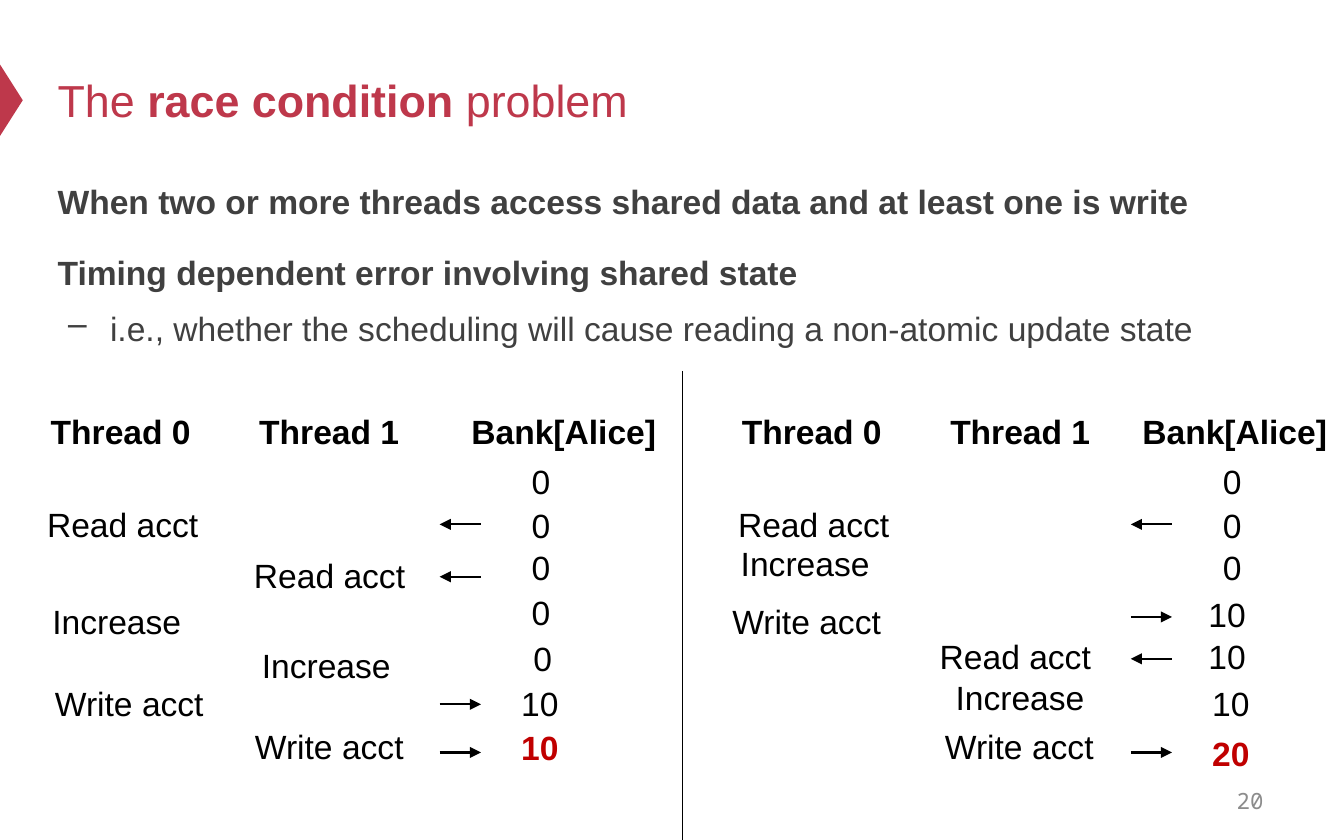
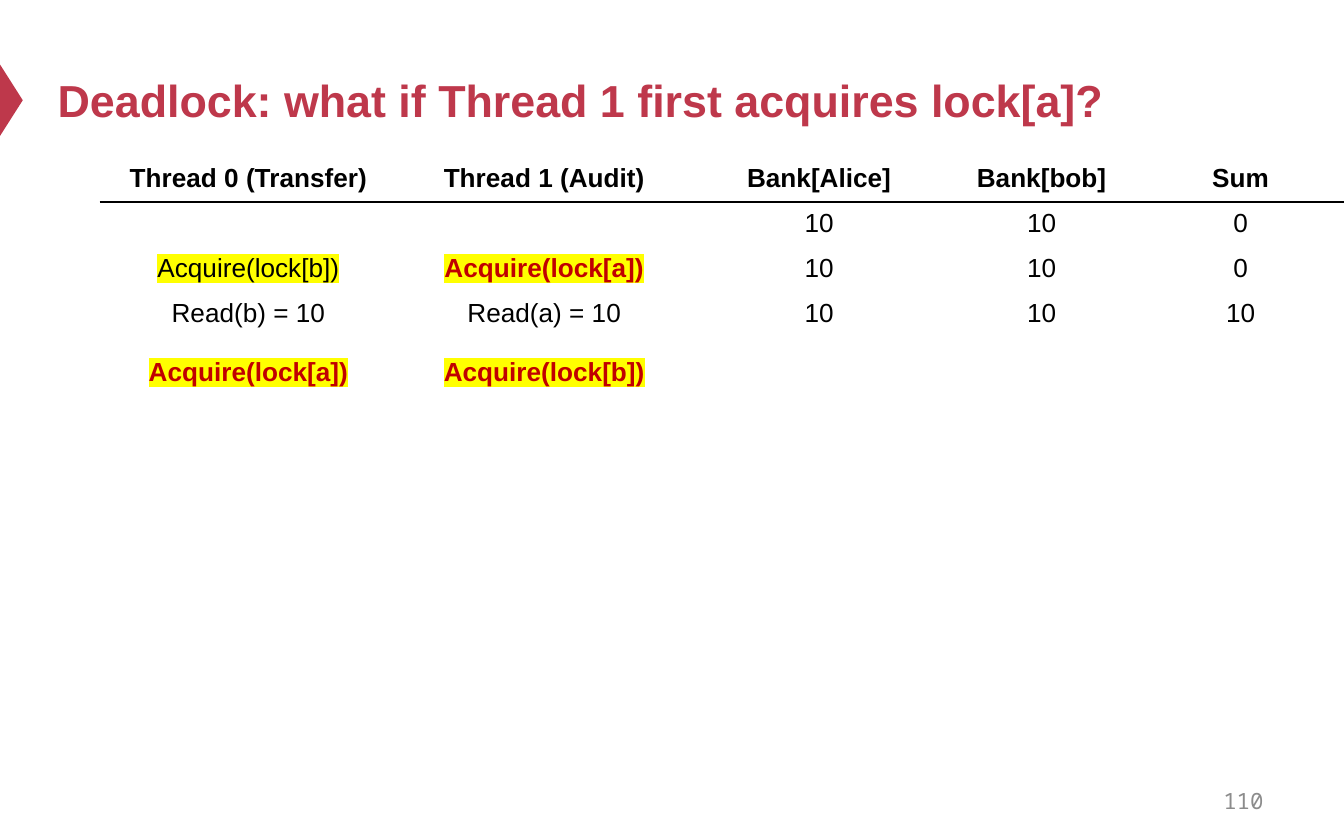
from typing import NamedTuple, Optional

from lxml.etree import SubElement
from pptx import Presentation
from pptx.dml.color import RGBColor
from pptx.enum.shapes import MSO_CONNECTOR as Connector, MSO_SHAPE as Shape
from pptx.enum.text import MSO_ANCHOR as Anchor, PP_ALIGN as Align
from pptx.oxml.ns import qn
from pptx.util import Cm, Pt

CRIMSON = RGBColor(0xBE, 0x38, 0x4B)
CHARCOAL = RGBColor(0x40, 0x40, 0x40)
GRAY = RGBColor(0x8C, 0x8C, 0x8C)
BLACK = RGBColor(0, 0, 0)
WHITE = RGBColor(255, 255, 255)
RED = RGBColor(0xC0, 0, 0)
YELLOW = RGBColor(255, 255, 0)

SANS = "Arial"
MONO = "Noto Sans Mono"

PANEL_PITCH = 13.06
ARROW_LEFT, ARROW_RIGHT = 8.31, 9.09
HEADING_TOP = 7.65
LABEL_HEIGHT = 1.02
LABEL_WIDTHS = {
    "Thread 0": 3.18, "Thread 1": 3.18, "Bank[Alice]": 4.04,
    "Read acct": 3.4, "Increase": 3.15, "Write acct": 3.35,
    "0": 0.86, "10": 1.27, "20": 1.27,
}


class Span(NamedTuple):
    text: str
    bold: bool = False


class Step(NamedTuple):
    """One action of a thread and the balance beside it; lefts count from the panel."""
    action: str
    left: float
    top: float
    balance: str
    balance_left: float
    balance_top: float
    arrow_y: Optional[float] = None


class Panel(NamedTuple):
    bank_left: float
    steps: list[Step]


class Entry(NamedTuple):
    """One paragraph of a table cell."""
    text: str
    bold: bool = False
    color: RGBColor = BLACK
    marked: bool = False


PANELS = [
    Panel(8.66, [
        Step("Read acct", 0.64, 9.4, "0", 9.8, 9.42, 9.91),
        Step("Read acct", 4.55, 10.36, "0", 9.8, 10.21, 10.9),
        Step("Increase", 0.74, 11.23, "0", 9.8, 11.07),
        Step("Increase", 4.7, 12.07, "0", 9.83, 11.94),
        Step("Write acct", 0.79, 12.78, "10", 9.6, 12.78, 13.31),
        Step("Write acct", 4.57, 13.59, "10", 9.6, 13.61, 14.22),
    ]),
    Panel(8.28, [
        Step("Read acct", 0.64, 9.4, "0", 9.8, 9.42, 9.91),
        Step("Increase", 0.69, 10.13, "0", 9.8, 10.21),
        Step("Write acct", 0.53, 11.23, "10", 9.53, 11.1, 11.66),
        Step("Read acct", 4.45, 11.89, "10", 9.53, 11.89, 12.45),
        Step("Increase", 4.75, 12.67, "10", 9.6, 12.78),
        Step("Write acct", 4.55, 13.59, "20", 9.6, 13.72, 14.22),
    ]),
]

COLUMN_WIDTHS = [5.59, 5.59, 4.8, 3.61, 3.91]
ROW_HEIGHTS = [0.81, 0.81, 0.81, 1.94] + [1] * 9
HEADINGS = ["Thread 0 (Transfer)", "Thread 1 (Audit)", "Bank[Alice]", "Bank[bob]", "Sum"]


def plain(*texts: str) -> list[list[Entry]]:
    return [[Entry(text)] for text in texts]


def contested(lock: str) -> Entry:
    return Entry(f"Acquire(lock[{lock}])", True, RED, True)


LOCK_ROWS = [
    [[Entry(heading, bold=True)] for heading in HEADINGS],
    [[], []] + plain("10", "10", "0"),
    [[Entry("Acquire(lock[b])", marked=True)], [contested("a")]] + plain("10", "10", "0"),
    [[Entry("Read(b) = 10"), contested("a")],
     [Entry("Read(a) = 10"), contested("b")]] + plain("10", "10", "10"),
]


def style(para, size: float, color: RGBColor, bold: bool = False, name: str = SANS) -> None:
    font = para.font
    font.size, font.name, font.bold = Pt(size), name, bold
    font.color.rgb = color


def add_box(page, left: float, top: float, width: float, height: float,
            anchor=Anchor.TOP, wrap: bool = True):
    frame = page.shapes.add_textbox(Cm(left), Cm(top), Cm(width), Cm(height)).text_frame
    frame.word_wrap = wrap
    frame.vertical_anchor = anchor
    return frame


def add_page(deck, title: list[Span], number: int):
    """Adds a page with the marker, the title and the page number."""
    page = deck.slides.add_slide(deck.slide_layouts[6])
    marker = page.shapes.add_shape(
        Shape.ISOSCELES_TRIANGLE, Cm(-0.46), Cm(1.68), Cm(1.35), Cm(0.43))
    marker.rotation = 90
    marker.shadow.inherit = False
    marker.fill.solid()
    marker.fill.fore_color.rgb = CRIMSON
    marker.line.fill.background()

    para = add_box(page, 0.84, 0.64, 22.86, 2.49, Anchor.MIDDLE).paragraphs[0]
    style(para, 24, CRIMSON)
    for part in title:
        span = para.add_run()
        span.text, span.font.bold = part

    para = add_box(page, 18.21, 14.71, 5.92, 0.84, Anchor.MIDDLE).paragraphs[0]
    para.text = str(number)
    para.alignment = Align.RIGHT
    style(para, 12, GRAY, name=MONO)
    return page


def add_line(page, start: tuple[float, float], end: tuple[float, float],
             width: float, arrow: bool = False) -> None:
    points = [Cm(value) for value in (*start, *end)]
    connector = page.shapes.add_connector(Connector.STRAIGHT, *points)
    connector.line.color.rgb = BLACK
    connector.line.width = Pt(width)
    properties = connector.element.spPr
    if arrow:
        SubElement(properties.find(qn("a:ln")), qn("a:tailEnd"), type="triangle")
    SubElement(properties, qn("a:effectLst"))


def add_label(page, text: str, left: float, top: float,
              bold: bool = False, color: RGBColor = BLACK) -> None:
    frame = add_box(page, left, top, LABEL_WIDTHS[text], LABEL_HEIGHT, wrap=False)
    para = frame.paragraphs[0]
    para.text = text
    style(para, 18, color, bold)


def add_statements(page) -> None:
    frame = add_box(page, 0.84, 3.15, 22.86, 4.8)
    statements = [
        Span("When two or more threads access shared data and at least one is write", True),
        Span("Timing dependent error involving shared state", True),
        Span("i.e., whether the scheduling will cause reading a non-atomic update state"),
    ]
    for index, (text, bold) in enumerate(statements):
        para = frame.add_paragraph() if index else frame.paragraphs[0]
        para.text = text
        para.line_spacing = 1.2
        if index:
            para.space_before = Pt(12 if bold else 4)
        if not bold:
            properties = para._p.get_or_add_pPr()
            properties.set("marL", str(Cm(0.99)))
            properties.set("indent", str(Cm(-0.79)))
            SubElement(properties, qn("a:buChar"), char="–")
        style(para, 18, CHARCOAL, bold)


def add_panel(page, panel: Panel, left: float) -> None:
    """Draws one interleaving of the two threads."""
    headings = {"Thread 0": 0.71, "Thread 1": 4.65, "Bank[Alice]": panel.bank_left}
    for text, offset in headings.items():
        add_label(page, text, left + offset, HEADING_TOP, bold=True)
    add_label(page, "0", left + 9.8, 8.59)
    for step in panel.steps:
        final = step is panel.steps[-1]
        add_label(page, step.action, left + step.left, step.top)
        add_label(page, step.balance, left + step.balance_left, step.balance_top,
                  final, RED if final else BLACK)
        if step.arrow_y is not None:
            near = (left + ARROW_LEFT, step.arrow_y)
            far = (left + ARROW_RIGHT, step.arrow_y)
            start, end = (near, far) if step.action == "Write acct" else (far, near)
            add_line(page, start, end, 1.2, arrow=True)


def add_color(parent, color: RGBColor) -> None:
    SubElement(parent, qn("a:srgbClr"), val=str(color))


def set_borders(cell, top: RGBColor, bottom: RGBColor) -> None:
    properties = cell._tc.get_or_add_tcPr()
    for side, color in (("L", WHITE), ("R", WHITE), ("T", top), ("B", bottom)):
        line = SubElement(properties, qn(f"a:ln{side}"), w=str(Pt(1)))
        add_color(SubElement(line, qn("a:solidFill")), color)


def fill_cell(cell, entries: list[Entry]) -> None:
    frame = cell.text_frame
    if not entries:
        cell.margin_top = cell.margin_bottom = 0
        style(frame.paragraphs[0], 14, BLACK)
    for index, entry in enumerate(entries):
        para = frame.add_paragraph() if index else frame.paragraphs[0]
        para.alignment = Align.CENTER
        if index:
            para.space_before = Pt(16)
        style(para, 14, entry.color, entry.bold)
        span = para.add_run()
        span.text = entry.text
        if entry.marked:
            add_color(SubElement(span._r.get_or_add_rPr(), qn("a:highlight")), YELLOW)


def add_lock_table(page) -> None:
    table = page.shapes.add_table(
        len(ROW_HEIGHTS), len(COLUMN_WIDTHS), Cm(1.9), Cm(2.97),
        Cm(sum(COLUMN_WIDTHS)), Cm(sum(ROW_HEIGHTS))).table
    table.first_row = table.horz_banding = False
    for column, width in zip(table.columns, COLUMN_WIDTHS):
        column.width = Cm(width)
    for index, (row, height) in enumerate(zip(table.rows, ROW_HEIGHTS)):
        row.height = Cm(height)
        contents = LOCK_ROWS[index] if index < len(LOCK_ROWS) else [[]] * len(COLUMN_WIDTHS)
        for cell, entries in zip(row.cells, contents):
            set_borders(cell, BLACK if index == 1 else WHITE, BLACK if index == 0 else WHITE)
            cell.fill.background()
            fill_cell(cell, entries)


def main() -> None:
    deck = Presentation()
    deck.slide_width = Cm(25.4)
    deck.slide_height = deck.slide_width * 5 // 8

    race = add_page(deck, [Span("The "), Span("race condition ", True), Span("problem")], 20)
    add_statements(race)
    for index, panel in enumerate(PANELS):
        add_panel(race, panel, index * PANEL_PITCH)
    add_line(race, (12.9, 7.01), (12.9, 17.12), 0.75)

    deadlock = add_page(
        deck, [Span("Deadlock: what if Thread 1 first acquires lock[a]?", True)], 110)
    add_lock_table(deadlock)
    deck.save("out.pptx")


if __name__ == "__main__":
    main()
